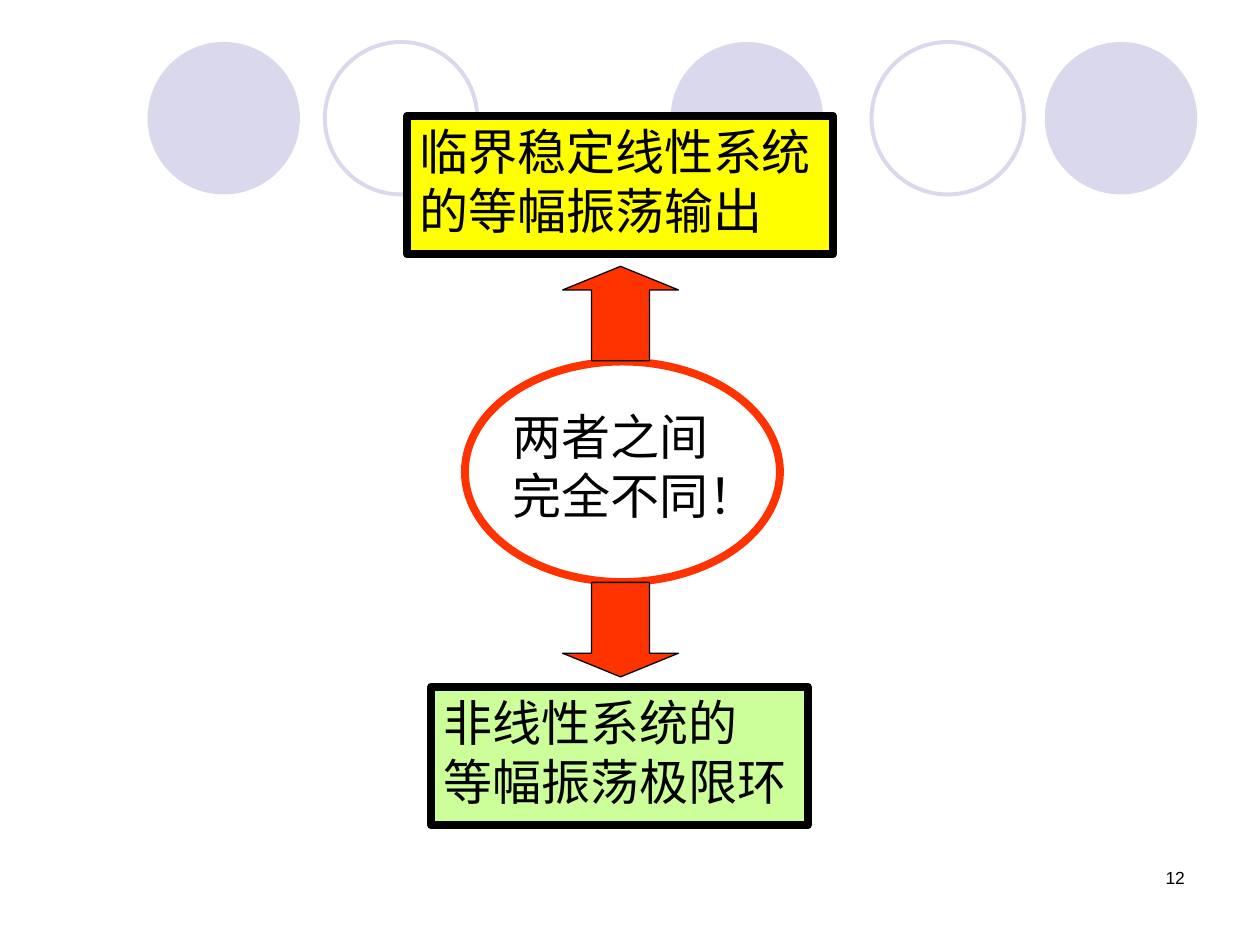
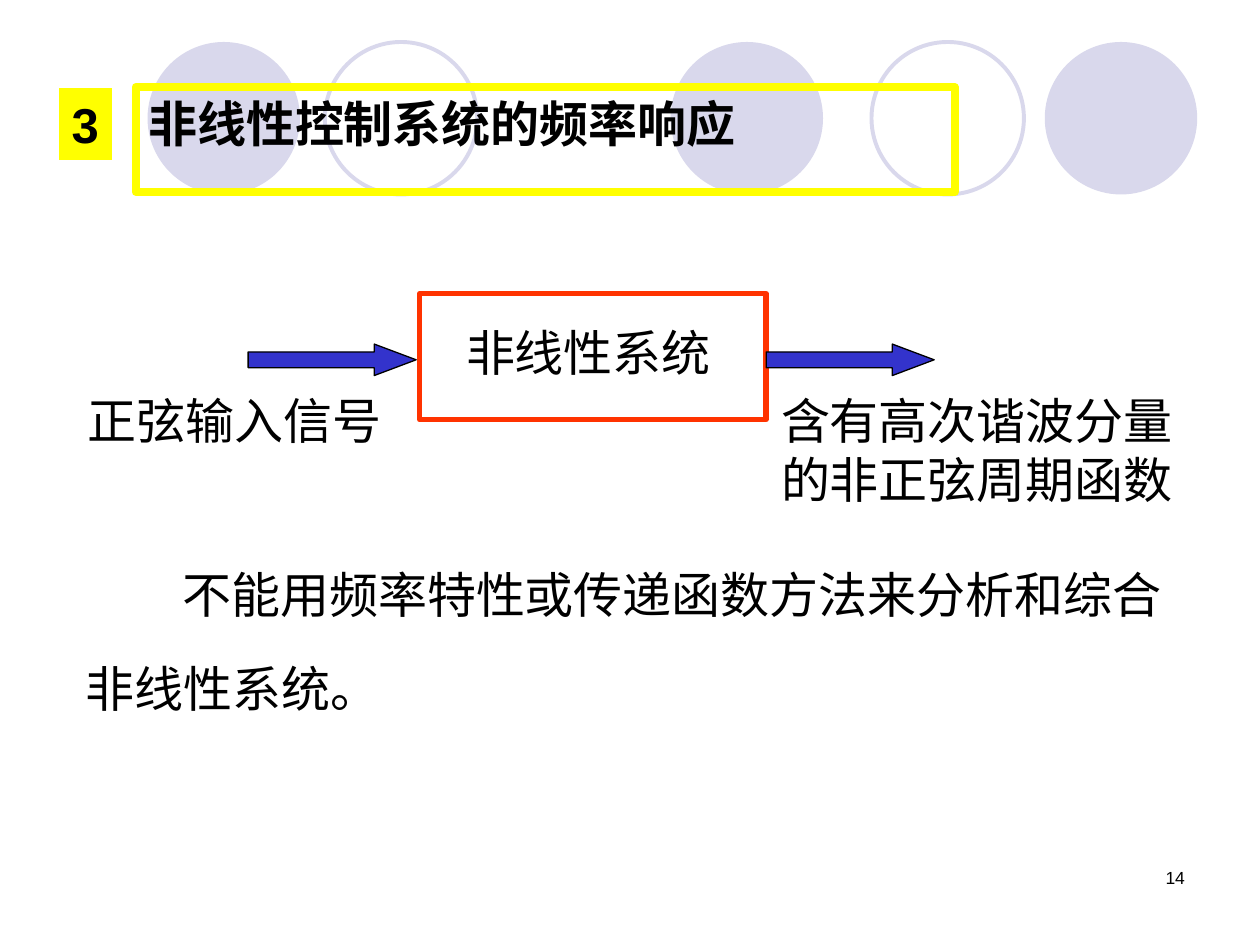
from pptx import Presentation
from pptx.dml.color import RGBColor
from pptx.enum import shapes as es, text as et
from pptx.util import Pt

HUE = {"black": "000000", "lilac": "D9D8EC", "yellow": "FFFF00",
       "green": "CCFF99", "red": "FF3300", "blue": "3333CC"}
KIND = es.MSO_SHAPE
FONT = "Arial"


def tint(name):
    return RGBColor.from_string(HUE[name])


def paint(shape, fill=None, line=None, width=0.75):
    """Set fill and outline; None leaves either one out."""
    if fill:
        shape.fill.solid()
        shape.fill.fore_color.rgb = tint(fill)
    else:
        shape.fill.background()
    if line:
        shape.line.color.rgb = tint(line)
        shape.line.width = Pt(width)
    else:
        shape.line.fill.background()


def draw(slide, kind, x, y, w, h, **look):
    shape = slide.shapes.add_shape(kind, Pt(x), Pt(y), Pt(w), Pt(h))
    shape.shadow.inherit = False
    paint(shape, **look)
    return shape


def write(shape, lines, size=28, bold=False, align=et.PP_ALIGN.LEFT,
          wrap=False, fit=True):
    frame = shape.text_frame
    frame.text = "\n".join(lines)
    frame.word_wrap = wrap
    frame.vertical_anchor = et.MSO_ANCHOR.TOP
    frame.auto_size = (et.MSO_AUTO_SIZE.SHAPE_TO_FIT_TEXT if fit
                       else et.MSO_AUTO_SIZE.NONE)
    for para in frame.paragraphs:
        para.alignment = align
        font = para.font
        font.name, font.size, font.bold = FONT, Pt(size), bold
        font.color.rgb = tint("black")


def label(slide, x, y, w, h, *lines, **style):
    box = slide.shapes.add_textbox(Pt(x), Pt(y), Pt(w), Pt(h))
    write(box, lines, **style)


def band(deck, slide, x, y):
    """Row of circles, moved to the master so all slides share it."""
    size = 87.12
    discs = [(dx, {"fill": "lilac"}) for dx in (0, 298.9, 512.7)]
    rings = [(dx, {"line": "lilac", "width": 2.25}) for dx in (101.3, 413.7)]
    tree = deck.slide_master.shapes.element
    for n, (dx, look) in enumerate(discs + rings):
        dot = draw(slide, KIND.OVAL, x + dx, y, size, size, **look)
        dot.element.nvSpPr.cNvPr.id = 100 + n
        tree.insert(2 + n, dot.element)


def footer(slide, number):
    label(slide, 516.2, 491.8, 168, 36, str(number), size=10,
          align=et.PP_ALIGN.RIGHT, wrap=True, fit=False)


def contrast(slide, x, y):
    """Two framed statements joined by arrows from a central oval."""
    frames = [
        (0, 0, 243.4, "yellow", ("临界稳定线性系统", "的等幅振荡输出")),
        (13.7, 326.2, 215.3, "green", ("非线性系统的", "等幅振荡极限环")),
    ]
    for dx, dy, w, fill, lines in frames:
        box = draw(slide, KIND.RECTANGLE, x + dx, y + dy, w, 79.2,
                   fill=fill, line="black", width=4.5)
        write(box, lines)
    label(slide, x + 53.3, y + 162.7, 154.8, 74.9, "两者之间", "完全不同！")
    draw(slide, KIND.OVAL, x + 33.1, y + 140.4, 180, 126,
         line="red", width=4.5)
    for kind, dy in ((KIND.UP_ARROW, 86), (KIND.DOWN_ARROW, 266.6)):
        arrow = draw(slide, kind, x + 88.9, y + dy, 66.2, 54,
                     fill="red", line="black")
        arrow.adjustments[0], arrow.adjustments[1] = 0.5, 0.25


def heading(slide, x, y, number, words):
    """Number tag and outlined title."""
    tag = draw(slide, KIND.RECTANGLE, x, y, 30.2, 41, fill="yellow")
    write(tag, [number], bold=True)
    title = slide.shapes.title
    title.left, title.top = Pt(x + 43.7), Pt(y - 0.7)
    title.width, title.height = Pt(468), Pt(45.4)
    paint(title, line="yellow", width=4.5)
    write(title, [words], bold=True, wrap=True)


def flow(slide, x, y):
    """Input arrow, system block, output arrow and their labels."""
    draw(slide, KIND.RECTANGLE, x + 196.6, y, 198, 72, line="red", width=3)
    label(slide, x + 216, y + 13, 154.8, 41, "非线性系统")
    for dx in (98.6, 394.6):
        arrow = draw(slide, KIND.RIGHT_ARROW, x + dx, y + 28.8, 96, 18,
                     fill="blue", line="black")
        arrow.adjustments[0], arrow.adjustments[1] = 0.5, 1.33
    label(slide, x, y + 51.8, 182.2, 41, "正弦输入信号")
    label(slide, x + 396, y + 51.8, 238.3, 74.2,
          "含有高次谐波分量", "的非正弦周期函数")


def remark(slide, x, y):
    """Closing sentence, first line indented."""
    label(slide, x + 55.4, y, 574.6, 41,
          "不能用频率特性或传递函数方法来分析和综合")
    label(slide, x, y + 54, 182.2, 41, "非线性系统。")


def main():
    deck = Presentation()
    deck.slide_width, deck.slide_height = Pt(720), Pt(540)

    # Comparison slide
    first = deck.slides.add_slide(deck.slide_layouts[6])
    band(deck, first, 84.3, 24)
    footer(first, 12)
    contrast(first, 232.6, 66.2)

    # Frequency response slide
    second = deck.slides.add_slide(deck.slide_layouts[5])
    footer(second, 14)
    heading(second, 33.8, 50.4, "3", "非线性控制系统的频率响应")
    flow(second, 43.2, 167.8)
    remark(second, 41.8, 319)

    deck.save("out.pptx")


if __name__ == "__main__":
    main()
